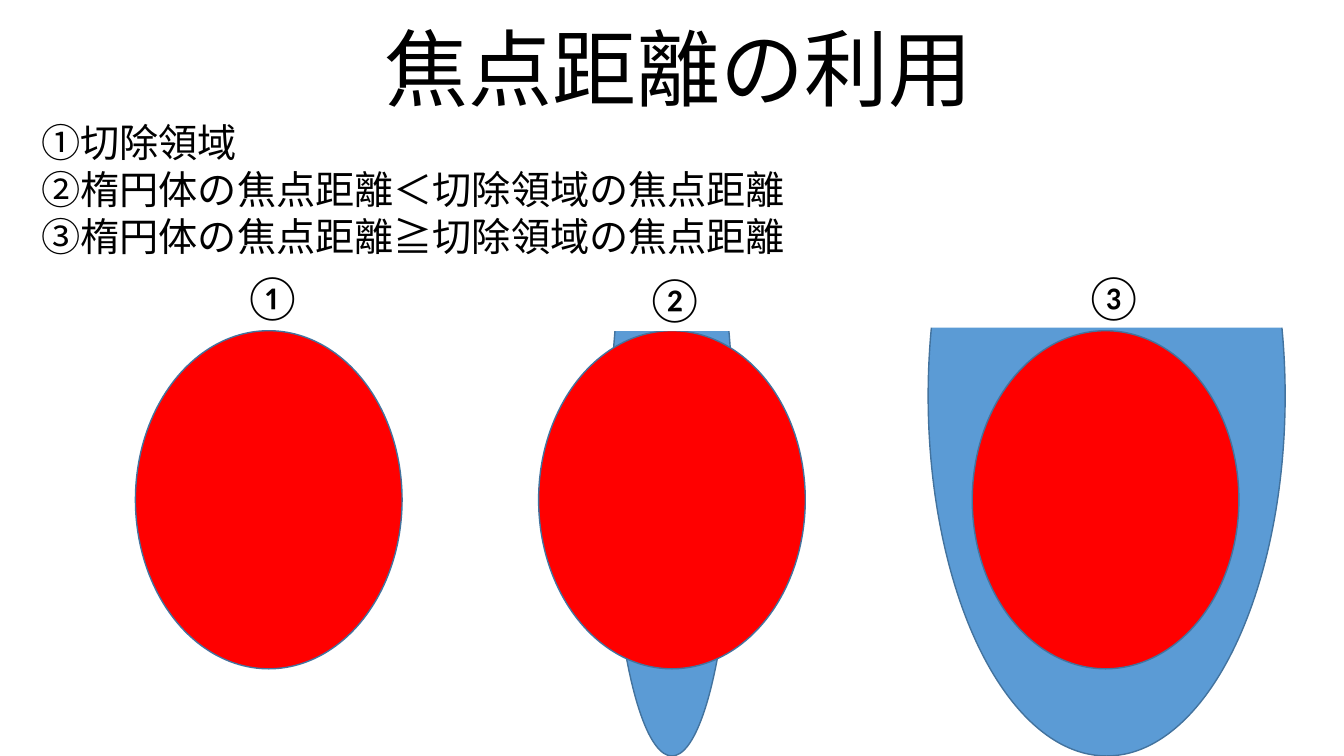
import dataclasses
import typing

import pptx
import pptx.dml.color
import pptx.enum.shapes
import pptx.enum.text
import pptx.slide
import pptx.util

SCALE = 9525
FONT = "Calibri"
COLORS = {
    "text": "000000",
    "white": "FFFFFF",
    "red": "FF0000",
    "blue": "5B9BD5",
    "edge": "43739E",
}
OVAL = pptx.enum.shapes.MSO_SHAPE.OVAL
RECT = pptx.enum.shapes.MSO_SHAPE.RECTANGLE
ALIGN = pptx.enum.text.PP_ALIGN
ANCHOR = pptx.enum.text.MSO_ANCHOR
GROW = pptx.enum.text.MSO_AUTO_SIZE.SHAPE_TO_FIT_TEXT


@dataclasses.dataclass(frozen=True)
class Box:
    left: int
    top: int
    width: int
    height: int


@dataclasses.dataclass(frozen=True)
class Form:
    kind: pptx.enum.shapes.MSO_SHAPE
    box: Box
    fill: str
    line: typing.Optional[str] = None


@dataclasses.dataclass(frozen=True)
class Label:
    box: Box
    text: str
    size: int


def px(count: int) -> pptx.util.Emu:
    return pptx.util.Emu(count * SCALE)


def place(box: Box) -> typing.List[pptx.util.Emu]:
    return [px(side) for side in dataclasses.astuple(box)]


def color(name: str) -> pptx.dml.color.RGBColor:
    return pptx.dml.color.RGBColor.from_string(COLORS[name])


def region(left: int) -> Form:
    return Form(OVAL, Box(left, 315, 254, 322), "red", "edge")


def draw_form(slide: pptx.slide.Slide, form: Form) -> None:
    shape = slide.shapes.add_shape(form.kind, *place(form.box))
    shape.shadow.inherit = False
    shape.fill.solid()
    shape.fill.fore_color.rgb = color(form.fill)
    if form.line is None:
        shape.line.fill.background()
    else:
        shape.line.color.rgb = color(form.line)
        shape.line.width = pptx.util.Pt(1)


def draw_label(slide: pptx.slide.Slide, label: Label) -> pptx.text.text.TextFrame:
    frame = slide.shapes.add_textbox(*place(label.box)).text_frame
    frame.word_wrap = True
    frame.auto_size = GROW
    frame.text = label.text
    for line in frame.paragraphs:
        for run in line.runs:
            run.font.name = FONT
            run.font.size = pptx.util.Pt(label.size)
            run.font.color.rgb = color("text")
    return frame


def draw_title(slide: pptx.slide.Slide, label: Label) -> None:
    frame = draw_label(slide, label)
    frame.auto_size = pptx.enum.text.MSO_AUTO_SIZE.NONE
    frame.vertical_anchor = ANCHOR.MIDDLE
    frame.paragraphs[0].alignment = ALIGN.CENTER
    frame.paragraphs[0].line_spacing = 0.9


TITLE = Label(Box(94, 0, 1104, 139), "焦点距離の利用", 60)
FORMS = [
    Form(OVAL, Box(581, 139, 118, 581), "blue", "edge"),
    region(513),
    Form(RECT, Box(483, 137, 314, 178), "white", "white"),
    region(129),
    Form(OVAL, Box(884, 34, 340, 686), "blue", "edge"),
    region(926),
    Form(RECT, Box(836, 139, 444, 173), "white"),
    Form(RECT, Box(926, 17, 259, 173), "white"),
]
CASES = [
    "①切除領域",
    "②楕円体の焦点距離＜切除領域の焦点距離",
    "③楕円体の焦点距離≧切除領域の焦点距離",
]
LABELS = [Label(Box(30, 108, 768, 145), "\n".join(CASES), 28)] + [
    Label(Box(left, top, 70, 61), case[0], 32)
    for case, left, top in zip(CASES, (222, 605, 1023), (251, 253, 251))
]


def main() -> None:
    deck = pptx.Presentation()
    deck.slide_width, deck.slide_height = px(1280), px(720)
    slide = deck.slides.add_slide(deck.slide_layouts[6])
    draw_title(slide, TITLE)
    for form in FORMS:
        draw_form(slide, form)
    for label in LABELS:
        draw_label(slide, label)
    deck.save("out.pptx")


if __name__ == "__main__":
    main()
